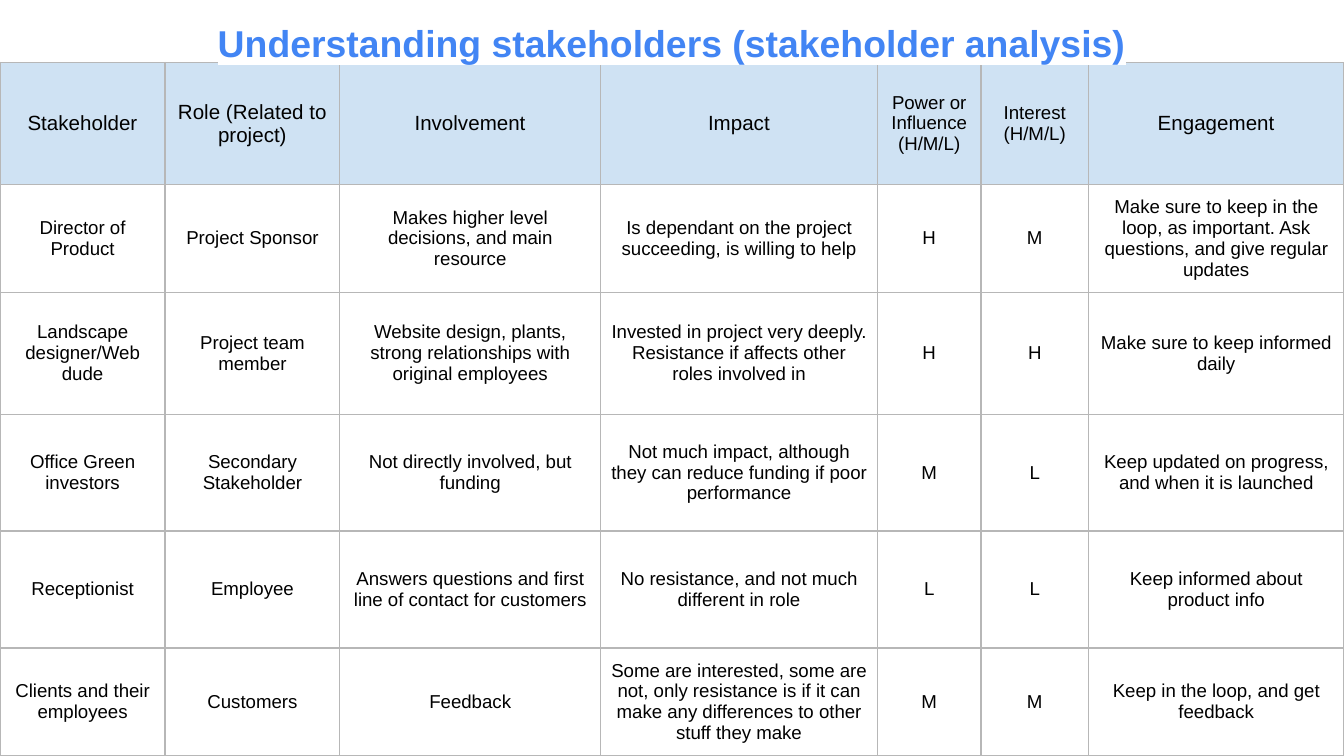
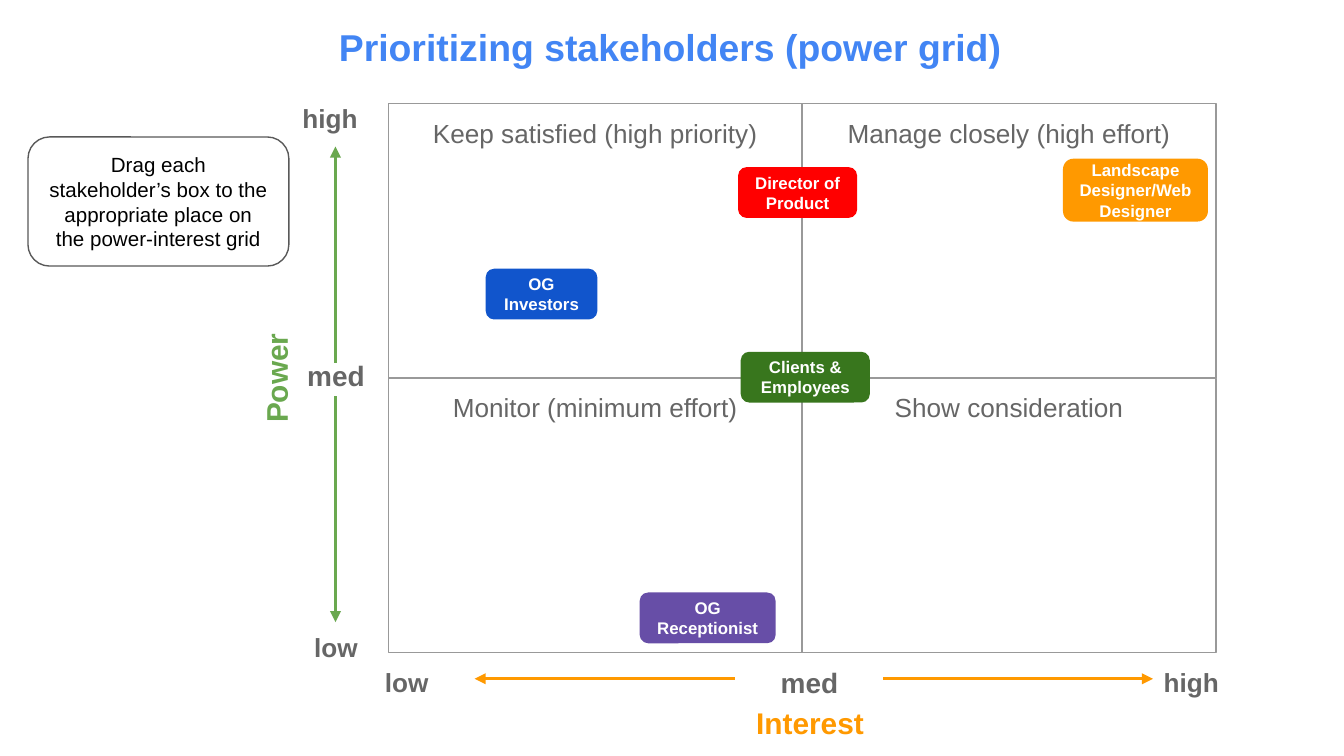
from lxml import etree
from pptx import Presentation
from pptx.dml.color import RGBColor
from pptx.enum.shapes import MSO_CONNECTOR, MSO_SHAPE
from pptx.enum.text import MSO_ANCHOR, PP_ALIGN
from pptx.oxml.ns import qn
from pptx.util import Cm, Pt

RECT, ROUNDED = MSO_SHAPE.RECTANGLE, MSO_SHAPE.ROUNDED_RECTANGLE
STRAIGHT = MSO_CONNECTOR.STRAIGHT
TOP, MIDDLE = MSO_ANCHOR.TOP, MSO_ANCHOR.MIDDLE
CENTER, RIGHT = PP_ALIGN.CENTER, PP_ALIGN.RIGHT

FONT = "Arial"
WHITE, BLACK = "FFFFFF", "000000"
TITLE_BLUE = "4285F4"
HEADER_BLUE = "CFE2F3"
TABLE_LINE = "B7B7B7"
GRID_LINE = "999999"
NOTE_LINE = "595959"
GREY = "666666"
GREEN = "6AA84F"
ORANGE = "FF9900"
PAGE_WIDTH, PAGE_HEIGHT = 25.4, 14.29

COLUMN_WIDTHS = [3.12, 3.3, 4.93, 5.23, 1.96, 2.03, 4.83]
ROW_HEIGHTS = [2.31, 2.04, 2.3, 2.21, 2.21, 2.04]
STAKEHOLDERS = [
    ["Stakeholder", "Role (Related to project)", "Involvement", "Impact",
     "Power or Influence (H/M/L)", "Interest (H/M/L)", "Engagement"],
    ["Director of Product", "Project Sponsor",
     "Makes higher level decisions, and main resource",
     "Is dependant on the project succeeding, is willing to help", "H", "M",
     "Make sure to keep in the loop, as important. Ask questions, "
     "and give regular updates"],
    ["Landscape designer/Web dude", "Project team member",
     "Website design, plants, strong relationships with original employees",
     "Invested in project very deeply. Resistance if affects other roles "
     "involved in", "H", "H", "Make sure to keep informed daily"],
    ["Office Green investors", "Secondary Stakeholder",
     "Not directly involved, but funding",
     "Not much impact, although they can reduce funding if poor performance",
     "M", "L", "Keep updated on progress, and when it is launched"],
    ["Receptionist", "Employee",
     "Answers questions and first line of contact for customers",
     "No resistance, and not much different in role", "L", "L",
     "Keep informed about product info"],
    ["Clients and their employees", "Customers", "Feedback",
     "Some are interested, some are not, only resistance is if it can make "
     "any differences to other stuff they make", "M", "M",
     "Keep in the loop, and get feedback"],
]

GRID_LEFT, GRID_TOP = 7.34, 1.96
QUADRANT_WIDTH, QUADRANT_HEIGHT = 7.82, 5.19
QUADRANTS = [
    ["Keep satisfied (high priority)", "Manage closely (high effort)"],
    ["Monitor (minimum effort)", "Show consideration"],
]
# text, left, top, width, height, fill
STAKEHOLDER_TAGS = [
    ("Director of Product", 13.95, 3.16, 2.25, 0.96, "FF0000"),
    ("OG Investors", 9.18, 5.08, 2.11, 0.96, "1155CC"),
    ("Clients & Employees", 14, 6.65, 2.44, 0.96, "38761D"),
    ("OG Receptionist", 12.09, 11.2, 2.57, 0.96, "674EA7"),
    ("Landscape Designer/Web Designer", 20.09, 3, 2.74, 1.19, ORANGE),
]
# text, left, top, width, height, size, colour, alignment
AXIS_LABELS = [
    ("high", 3.63, 1.68, 3.38, 0.66, 14, GREY, RIGHT),
    ("med", 4.95, 6.53, 2.8, 0.97, 15, GREY, CENTER),
    ("low", 3.63, 11.68, 3.38, 0.66, 14, GREY, RIGHT),
    ("low", 6.4, 12.34, 2.57, 0.97, 14, GREY, CENTER),
    ("med", 13.9, 12.34, 2.8, 0.97, 15, GREY, CENTER),
    ("high", 21.23, 12.34, 2.57, 0.97, 14, GREY, CENTER),
    ("Interest", 13.91, 13.08, 2.8, 1.19, 16, ORANGE, CENTER),
]
POWER_X, INTEREST_Y = 6.34, 12.83
# start x, start y, end x, end y, colour
AXIS_ARROWS = [
    (POWER_X, 6.86, POWER_X, 2.77, GREEN),
    (POWER_X, 7.49, POWER_X, 11.76, GREEN),
    (16.69, INTEREST_Y, 21.79, INTEREST_Y, ORANGE),
    (13.89, INTEREST_Y, 8.97, INTEREST_Y, ORANGE),
]


def rgb(value):
    return RGBColor.from_string(value)


def write(frame, text, size, color, bold=False, align=CENTER):
    para = frame.paragraphs[0]
    para.alignment = align
    span = para.add_run()
    span.text = text
    span.font.name = FONT
    span.font.size = Pt(size)
    span.font.bold = bold
    span.font.color.rgb = rgb(color)
    return para


def set_frame(frame, anchor):
    frame.word_wrap = True
    frame.vertical_anchor = anchor
    frame.margin_left = frame.margin_right = Cm(0.25)
    frame.margin_top = frame.margin_bottom = Cm(0.25)


def add_label(page, text, left, top, width, height, size, color,
              align=CENTER, anchor=TOP):
    """Add a bold text box without fill or outline."""
    box = page.shapes.add_textbox(Cm(left), Cm(top), Cm(width), Cm(height))
    set_frame(box.text_frame, anchor)
    write(box.text_frame, text, size, color, True, align)
    return box


def add_title(page, text, left, top, height):
    box = add_label(page, text, left, top, PAGE_WIDTH, height, 20, TITLE_BLUE)
    return box.text_frame.paragraphs[0]


def highlight(span, color):
    """Colour the background of a run whose font colour is already set."""
    marker = etree.Element(qn("a:highlight"))
    etree.SubElement(marker, qn("a:srgbClr"), val=color)
    span.font._element.find(qn("a:solidFill")).addnext(marker)


def add_panel(page, kind, text, left, top, width, height, size, color,
              fill=None, line=None, bold=False, anchor=MIDDLE):
    """Add a preset shape with centred text."""
    shape = page.shapes.add_shape(
        kind, Cm(left), Cm(top), Cm(width), Cm(height))
    shape.shadow.inherit = False
    if fill:
        shape.fill.solid()
        shape.fill.fore_color.rgb = rgb(fill)
    else:
        shape.fill.background()
    if line:
        shape.line.color.rgb = rgb(line)
        shape.line.width = Pt(0.75)
    else:
        shape.line.fill.background()
    set_frame(shape.text_frame, anchor)
    write(shape.text_frame, text, size, color, bold)


def add_arrow(page, x1, y1, x2, y2, color):
    arrow = page.shapes.add_connector(
        STRAIGHT, Cm(x1), Cm(y1), Cm(x2), Cm(y2))
    arrow.line.color.rgb = rgb(color)
    arrow.line.width = Pt(1.5)
    etree.SubElement(arrow.line._get_or_add_ln(), qn("a:tailEnd"),
                     type="triangle")
    etree.SubElement(arrow._element.spPr, qn("a:effectLst"))


def set_borders(cell, color):
    props = cell._tc.get_or_add_tcPr()
    for side in ("lnL", "lnR", "lnT", "lnB"):
        border = etree.SubElement(props, qn(f"a:{side}"), w=str(Pt(0.75)))
        fill = etree.SubElement(border, qn("a:solidFill"))
        etree.SubElement(fill, qn("a:srgbClr"), val=color)


def fill_cell(cell, text, size, fill):
    cell.vertical_anchor = MIDDLE
    cell.margin_left = cell.margin_right = Cm(0.19)
    cell.margin_top = cell.margin_bottom = Cm(0.13)
    set_borders(cell, TABLE_LINE)
    if fill:
        cell.fill.solid()
        cell.fill.fore_color.rgb = rgb(fill)
    else:
        cell.fill.background()
    write(cell.text_frame, text, size, BLACK)


def add_stakeholder_table(page):
    table = page.shapes.add_table(
        len(ROW_HEIGHTS), len(COLUMN_WIDTHS), Cm(0), Cm(1.18),
        Cm(sum(COLUMN_WIDTHS)), Cm(sum(ROW_HEIGHTS))).table
    table.first_row = table.horz_banding = False
    for column, width in zip(table.columns, COLUMN_WIDTHS):
        column.width = Cm(width)
    for r, (height, texts) in enumerate(zip(ROW_HEIGHTS, STAKEHOLDERS)):
        table.rows[r].height = Cm(height)
        for c, text in enumerate(texts):
            is_header = r == 0
            size = 11 if is_header and "H/M/L" not in text else 10
            fill_cell(table.cell(r, c), text, size,
                      HEADER_BLUE if is_header else None)


def build_analysis(page):
    add_stakeholder_table(page)
    title = add_title(
        page, "Understanding stakeholders (stakeholder analysis)", 0, 0, 1.37)
    title.line_spacing = 1.15
    highlight(title.runs[0], WHITE)


def build_power_grid(page):
    for r, names in enumerate(QUADRANTS):
        for c, name in enumerate(names):
            add_panel(page, RECT, name, GRID_LEFT + c * QUADRANT_WIDTH,
                      GRID_TOP + r * QUADRANT_HEIGHT, QUADRANT_WIDTH,
                      QUADRANT_HEIGHT, 14, GREY, line=GRID_LINE, anchor=TOP)
    power = add_label(page, "Power", 4.06, 6.88, 2.31, 0.66, 16, GREEN,
                      RIGHT, MIDDLE)
    power.rotation = 270
    for arrow in AXIS_ARROWS:
        add_arrow(page, *arrow)
    for label in AXIS_LABELS:
        add_label(page, *label)
    add_title(page, "Prioritizing stakeholders (power grid)", -0.03, 0.2, 1.24)
    for text, left, top, width, height, fill in STAKEHOLDER_TAGS:
        add_panel(page, ROUNDED, text, left, top, width, height, 9, WHITE,
                  fill=fill, bold=True)
    add_panel(page, ROUNDED, "Drag each stakeholder’s box to the appropriate "
              "place on the power-interest grid", 0.53, 2.59, 4.93, 2.44,
              11, BLACK, line=NOTE_LINE)


def main():
    deck = Presentation()
    deck.slide_width, deck.slide_height = Cm(PAGE_WIDTH), Cm(PAGE_HEIGHT)
    blank = deck.slide_layouts[6]
    for build in (build_analysis, build_power_grid):
        build(deck.slides.add_slide(blank))
    deck.save("out.pptx")


if __name__ == "__main__":
    main()
